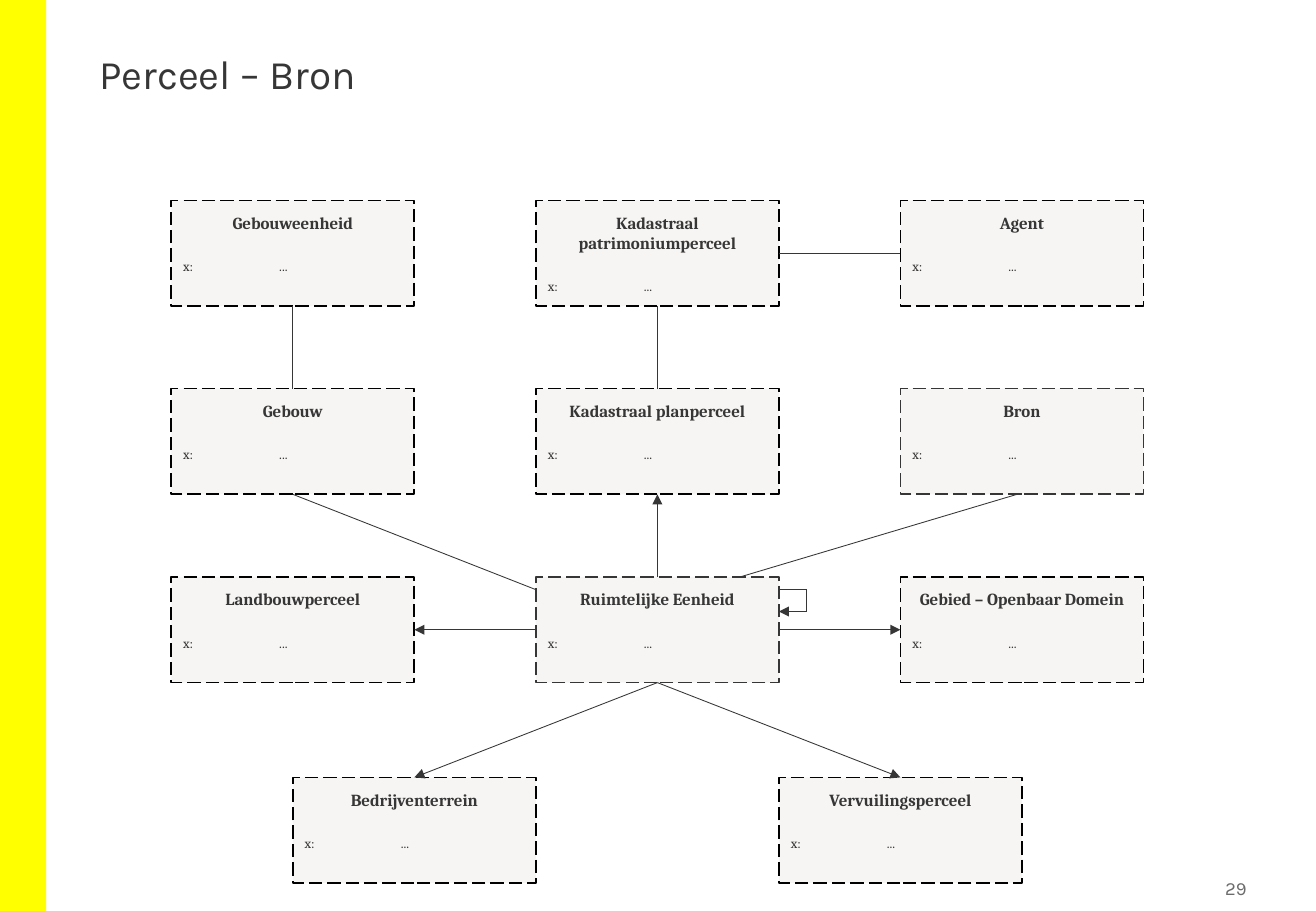
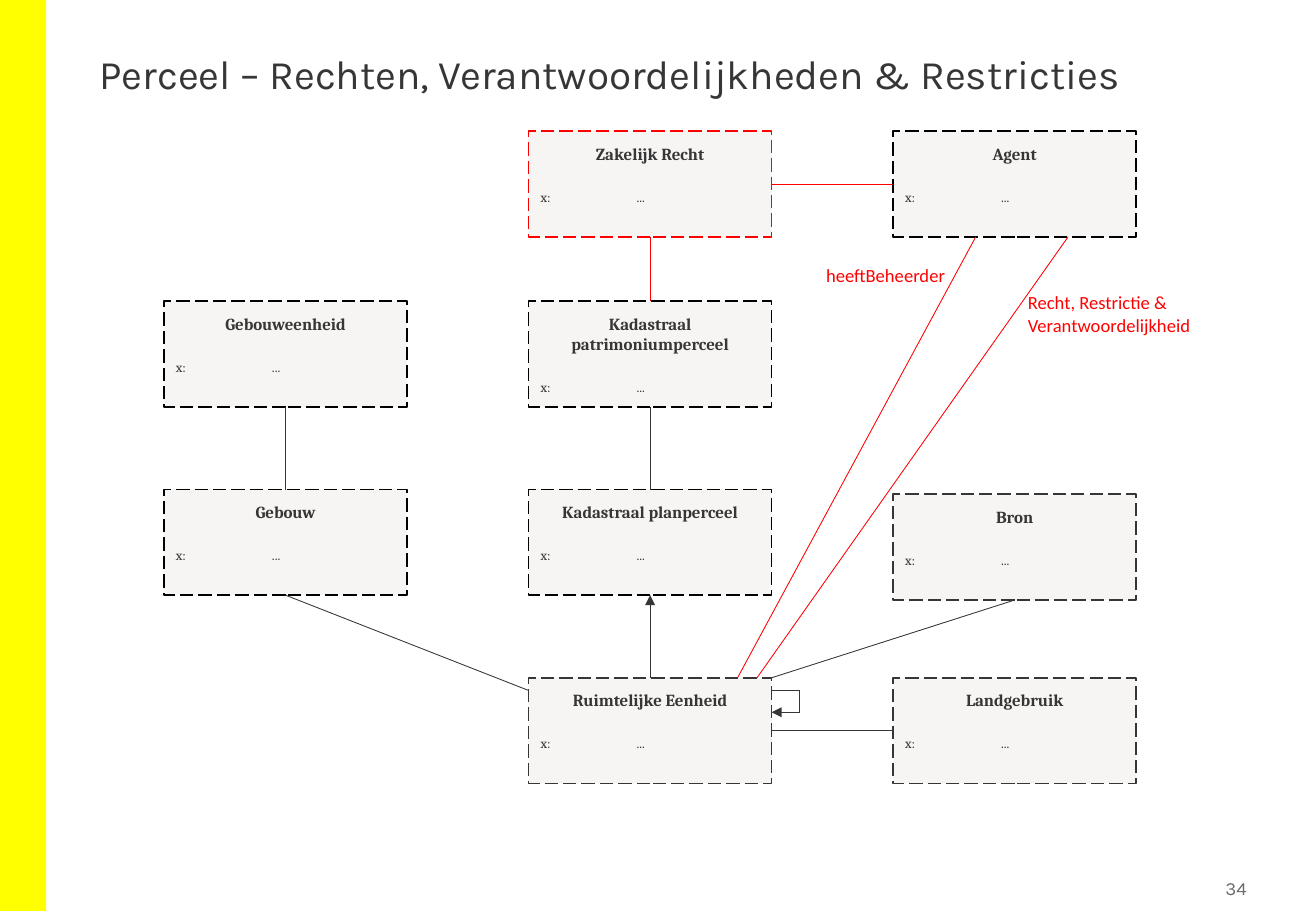
from dataclasses import dataclass

from lxml.etree import SubElement
from pptx import Presentation
from pptx.dml.color import RGBColor
from pptx.enum.dml import MSO_LINE
from pptx.enum.shapes import MSO_CONNECTOR, MSO_SHAPE
from pptx.enum.text import MSO_ANCHOR, PP_ALIGN
from pptx.oxml.ns import qn
from pptx.shapes.autoshape import Shape
from pptx.slide import Slide
from pptx.text.text import TextFrame, _Paragraph
from pptx.util import Inches, Pt

Point = tuple[float, float]


@dataclass(frozen=True)
class Theme:
    band: RGBColor = RGBColor(0xFF, 0xFF, 0x00)
    ink: RGBColor = RGBColor(0x37, 0x36, 0x36)
    black: RGBColor = RGBColor(0x00, 0x00, 0x00)
    red: RGBColor = RGBColor(0xFF, 0x00, 0x00)
    page_number: RGBColor = RGBColor(0x6B, 0x6B, 0x6B)
    entity_fill: RGBColor = RGBColor(0xF6, 0xF5, 0xF3)
    heading_font: str = "Karla"
    entity_font: str = "Cambria"
    label_font: str = "Calibri"
    title_size: float = 24
    small_size: float = 11
    entity_size: float = 10
    attribute_size: float = 8
    attribute_gap: float = 15
    outline_width: float = 1
    link_width: float = 0.5


THEME = Theme()
SLIDE_WIDTH, SLIDE_HEIGHT = 10.83, 7.5
ENTITY_WIDTH, ENTITY_HEIGHT = 2, 0.87
COLUMN_STEP, ROW_STEP = 3, 1.55
ATTRIBUTE_TABS = (0.39, 0.79)


@dataclass(frozen=True)
class Entity:
    name: str
    left: float
    top: float
    outline: RGBColor = THEME.black

    def at(self, across: float, down: float) -> Point:
        return self.left + across * ENTITY_WIDTH, self.top + down * ENTITY_HEIGHT

    @property
    def north(self) -> Point:
        return self.at(0.5, 0)

    @property
    def south(self) -> Point:
        return self.at(0.5, 1)

    @property
    def west(self) -> Point:
        return self.at(0, 0.5)

    @property
    def east(self) -> Point:
        return self.at(1, 0.5)


@dataclass(frozen=True)
class Link:
    start: Point
    end: Point
    arrow: bool = False
    color: RGBColor = THEME.ink


@dataclass(frozen=True)
class Label:
    text: str
    left: float
    top: float
    width: float
    height: float


@dataclass(frozen=True)
class Diagram:
    title: str
    number: str
    entities: list[Entity]
    links: list[Link]
    labels: list[Label]


def write(paragraph: _Paragraph, text: str, *, size: float, font: str,
          color: RGBColor = THEME.ink, bold: bool = False,
          align: PP_ALIGN = PP_ALIGN.LEFT) -> None:
    paragraph.alignment = align
    run = paragraph.add_run()
    run.text = text
    run.font.size = Pt(size)
    run.font.name = font
    run.font.bold = bold
    run.font.color.rgb = color


def add_text_frame(slide: Slide, left: float, top: float, width: float,
                   height: float) -> TextFrame:
    box = slide.shapes.add_textbox(Inches(left), Inches(top), Inches(width), Inches(height))
    box.text_frame.word_wrap = True
    return box.text_frame


def add_rectangle(slide: Slide, left: float, top: float, width: float,
                  height: float, fill: RGBColor) -> Shape:
    rectangle = slide.shapes.add_shape(
        MSO_SHAPE.RECTANGLE, Inches(left), Inches(top), Inches(width), Inches(height))
    rectangle.shadow.inherit = False
    rectangle.fill.solid()
    rectangle.fill.fore_color.rgb = fill
    rectangle.line.fill.background()
    return rectangle


def set_margins(frame: TextFrame, margin: float) -> None:
    frame.margin_left = frame.margin_right = Inches(margin)
    frame.margin_top = frame.margin_bottom = Inches(margin)


def draw_frame(slide: Slide, title: str, number: str) -> None:
    add_rectangle(slide, 0, 0, 0.38, SLIDE_HEIGHT, THEME.band)
    heading = add_text_frame(slide, 0.72, 0.4, 9.59, 1.45).paragraphs[0]
    heading.line_spacing = 0.9
    write(heading, title, size=THEME.title_size, font=THEME.heading_font)
    footer = add_text_frame(slide, 9.5, 7.17, 0.81, 0.29)
    set_margins(footer, 0.05)
    footer.vertical_anchor = MSO_ANCHOR.MIDDLE
    write(footer.paragraphs[0], number, size=THEME.small_size, font=THEME.heading_font,
          color=THEME.page_number, align=PP_ALIGN.RIGHT)


def draw_entity(slide: Slide, entity: Entity) -> None:
    card = add_rectangle(slide, entity.left, entity.top, ENTITY_WIDTH, ENTITY_HEIGHT,
                         THEME.entity_fill)
    card.line.color.rgb = entity.outline
    card.line.width = Pt(THEME.outline_width)
    card.line.dash_style = MSO_LINE.LONG_DASH
    frame = card.text_frame
    frame.word_wrap = True
    frame.vertical_anchor = MSO_ANCHOR.TOP
    set_margins(frame, 0.1)
    write(frame.paragraphs[0], entity.name, size=THEME.entity_size, font=THEME.entity_font,
          bold=True, align=PP_ALIGN.CENTER)
    attribute = frame.add_paragraph()
    tab_list = SubElement(attribute._p.get_or_add_pPr(), qn("a:tabLst"))
    for position in ATTRIBUTE_TABS:
        SubElement(tab_list, qn("a:tab"), pos=str(Inches(position)), algn="l")
    attribute.space_before = Pt(THEME.attribute_gap)
    write(attribute, "x:\t\t...", size=THEME.attribute_size, font=THEME.entity_font)


def draw_link(slide: Slide, link: Link) -> None:
    start_x, start_y, end_x, end_y = (Inches(value) for value in link.start + link.end)
    connector = slide.shapes.add_connector(
        MSO_CONNECTOR.STRAIGHT, start_x, start_y, end_x, end_y)
    connector.line.color.rgb = link.color
    connector.line.width = Pt(THEME.link_width)
    properties = connector.element.spPr
    if link.arrow:
        SubElement(properties.find(qn("a:ln")), qn("a:tailEnd"), type="triangle")
    SubElement(properties, qn("a:effectLst"))


def draw_label(slide: Slide, label: Label) -> None:
    frame = add_text_frame(slide, label.left, label.top, label.width, label.height)
    write(frame.paragraphs[0], label.text, size=THEME.small_size, font=THEME.label_font,
          color=THEME.red)


def draw_diagram(slide: Slide, diagram: Diagram) -> None:
    draw_frame(slide, diagram.title, diagram.number)
    for entity in diagram.entities:
        draw_entity(slide, entity)
    for link in diagram.links:
        draw_link(slide, link)
    for label in diagram.labels:
        draw_label(slide, label)


def self_links(entity: Entity) -> list[Link]:
    right, upper = entity.at(1, 0.12)
    outer, lower = right + 0.23, upper + 0.18
    return [
        Link((right, upper), (outer, upper)),
        Link((outer, upper), (outer, lower)),
        Link((outer, lower), (right, lower), arrow=True),
    ]


def parcel_core(left: float, top: float) -> tuple[list[Entity], list[Link]]:
    middle = left + COLUMN_STEP
    second, third = top + ROW_STEP, top + 2 * ROW_STEP
    unit = Entity("Gebouweenheid", left, top)
    building = Entity("Gebouw", left, second)
    patrimony = Entity("Kadastraal patrimoniumperceel", middle, top)
    plan = Entity("Kadastraal planperceel", middle, second)
    spatial = Entity("Ruimtelijke Eenheid", middle, third, THEME.ink)
    links = [
        Link(unit.south, building.north),
        Link(patrimony.south, plan.north),
        Link(building.south, spatial.at(0, 0.12)),
        Link(spatial.north, plan.south, arrow=True),
    ]
    return [unit, building, patrimony, plan, spatial], links + self_links(spatial)


def source_diagram() -> Diagram:
    left, top = 1.41, 1.65
    right, second, third, bottom = left + 2 * COLUMN_STEP, top + ROW_STEP, top + 2 * ROW_STEP, 6.4
    entities, links = parcel_core(left, top)
    patrimony, spatial = entities[2], entities[4]
    agent = Entity("Agent", right, top)
    source = Entity("Bron", right, second, THEME.ink)
    farmland = Entity("Landbouwperceel", left, third)
    public_area = Entity("Gebied – Openbaar Domein", right, third)
    business = Entity("Bedrijventerrein", left + 1, bottom)
    pollution = Entity("Vervuilingsperceel", right - 1, bottom)
    links += [
        Link(patrimony.east, agent.west),
        Link(source.at(0.48, 1), spatial.at(0.84, 0)),
        Link(spatial.west, farmland.east, arrow=True),
        Link(spatial.east, public_area.west, arrow=True),
        Link(spatial.south, business.north, arrow=True),
        Link(spatial.south, pollution.north, arrow=True),
    ]
    entities += [agent, source, farmland, public_area, business, pollution]
    return Diagram("Perceel – Bron", "29", entities, links, [])


def rights_diagram() -> Diagram:
    left, top, core_top = 1.35, 1.08, 2.48
    middle, right = left + COLUMN_STEP, left + 2 * COLUMN_STEP
    entities, links = parcel_core(left, core_top)
    patrimony, spatial = entities[2], entities[4]
    property_right = Entity("Zakelijk Recht", middle, top, THEME.red)
    agent = Entity("Agent", right, top)
    source = Entity("Bron", right, 4.07, THEME.ink)
    land_use = Entity("Landgebruik", right, spatial.top, THEME.ink)
    links += [
        Link(property_right.east, agent.west, color=THEME.red),
        Link(property_right.south, patrimony.north, color=THEME.red),
        Link(source.south, spatial.at(1, 0)),
        Link(land_use.west, spatial.east),
        Link(spatial.at(0.86, 0), agent.at(0.34, 1), color=THEME.red),
        Link(spatial.at(0.94, 0), agent.at(0.72, 1), color=THEME.red),
    ]
    labels = [
        Label("heeftBeheerder", 6.7, 2.12, 1.33, 0.29),
        Label("Recht, Restrictie & Verantwoordelijkheid", 8.36, 2.35, 1.59, 0.47),
    ]
    entities += [property_right, agent, source, land_use]
    return Diagram("Perceel – Rechten, Verantwoordelijkheden & Restricties", "34",
                   entities, links, labels)


def main() -> None:
    presentation = Presentation()
    presentation.slide_width = Inches(SLIDE_WIDTH)
    presentation.slide_height = Inches(SLIDE_HEIGHT)
    blank = presentation.slide_layouts[6]
    for diagram in (source_diagram(), rights_diagram()):
        draw_diagram(presentation.slides.add_slide(blank), diagram)
    presentation.save("out.pptx")


if __name__ == "__main__":
    main()
